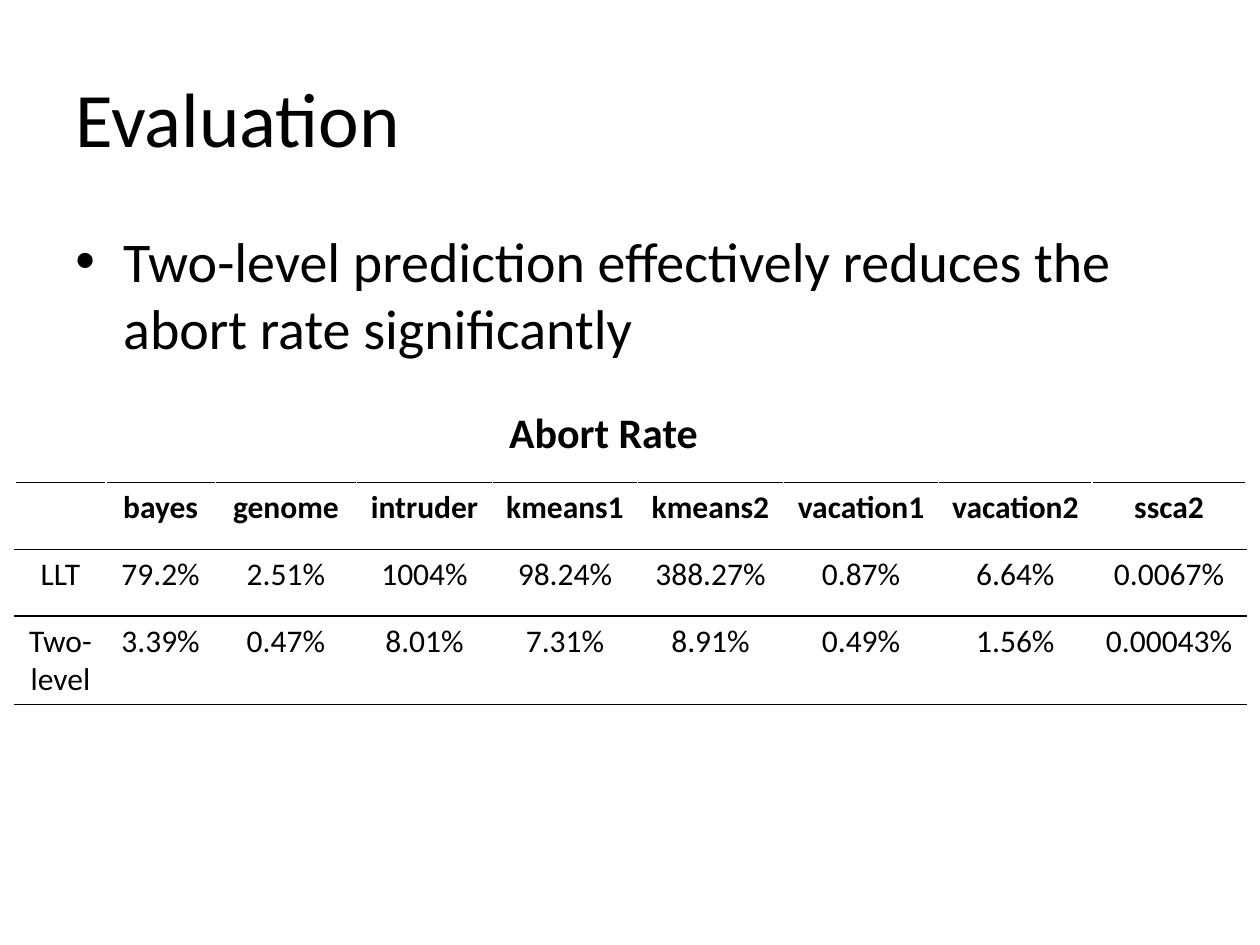
from pptx import Presentation
from pptx.dml.color import RGBColor
from pptx.enum.text import MSO_ANCHOR as ANCHOR, PP_ALIGN as ALIGN
from pptx.oxml import parse_xml
from pptx.oxml.ns import nsdecls
from pptx.util import Inches, Pt

HEADERS = ["", "bayes", "genome", "intruder", "kmeans1", "kmeans2", "vacation1", "vacation2", "ssca2"]
RATES = [
    ["LLT", "79.2%", "2.51%", "1004%", "98.24%", "388.27%", "0.87%", "6.64%", "0.0067%"],
    ["Two-level", "3.39%", "0.47%", "8.01%", "7.31%", "8.91%", "0.49%", "1.56%", "0.00043%"],
]
COL_WIDTHS = [0.72, 0.87, 1.12, 1.08, 1.15, 1.16, 1.23, 1.22, 1.22]
ROW_HEIGHT = 0.53


def rgb(value):
    return RGBColor.from_string(value)


def write(tf, text, size=18, bold=False, align=ALIGN.LEFT, color="000000", font="Calibri"):
    p = tf.paragraphs[0]
    p.alignment = align
    if text:
        r = p.add_run()
        r.text = text
        r.font.size, r.font.bold, r.font.name = Pt(size), bold, font
        r.font.color.rgb = rgb(color)
    return p


class SlideBuilder:
    """Holds the slide and its table colours, and adds each kind of element."""

    def __init__(self, slide, paper="FFFFFF", rule="000000"):
        self.slide, self.paper, self.rule = slide, paper, rule

    def text(self, text, x, y, w, h, anchor=ANCHOR.TOP, wrap=True, **fmt):
        tf = self.slide.shapes.add_textbox(Inches(x), Inches(y), Inches(w), Inches(h)).text_frame
        tf.word_wrap, tf.vertical_anchor = wrap, anchor
        return write(tf, text, **fmt)

    def bullet(self, text, x, y, w, h, indent=0.38, **fmt):
        p = self.text(text, x, y, w, h, **fmt)
        p.space_before = Pt(2)
        pPr = p._p.get_or_add_pPr()
        pPr.set("marL", str(Inches(indent)))
        pPr.set("indent", str(-Inches(indent)))
        pPr.append(parse_xml(f'<a:buFont {nsdecls("a")} typeface="Arial"/>'))
        pPr.append(parse_xml(f'<a:buChar {nsdecls("a")} char="•"/>'))

    def border(self, cell):
        sides = {"lnL": self.paper, "lnR": self.paper, "lnT": self.rule, "lnB": self.rule}
        tcPr = cell._tc.get_or_add_tcPr()
        for i, (side, color) in enumerate(sides.items()):
            tcPr.insert(i, parse_xml(
                f'<a:{side} {nsdecls("a")} w="{Pt(1)}"><a:solidFill>'
                f'<a:srgbClr val="{color}"/></a:solidFill></a:{side}>'))

    def table(self, rows, x, y, widths, row_height):
        table = self.slide.shapes.add_table(
            len(rows), len(widths), Inches(x), Inches(y),
            Inches(sum(widths)), Inches(row_height * len(rows))).table
        table.horz_banding = table.first_row = False
        for column, width in zip(table.columns, widths):
            column.width = Inches(width)
        for i, row in enumerate(rows):
            table.rows[i].height = Inches(row_height)
            for j, text in enumerate(row):
                cell = table.cell(i, j)
                cell.fill.solid()
                cell.fill.fore_color.rgb = rgb(self.paper)
                self.border(cell)
                write(cell.text_frame, text, bold=i == 0, align=ALIGN.CENTER)


def main():
    prs = Presentation()
    prs.slide_width, prs.slide_height = Inches(10), Inches(7.5)
    s = SlideBuilder(prs.slides.add_slide(prs.slide_layouts[6]))
    s.text("Evaluation", 0.5, 0.3, 9, 1.25, anchor=ANCHOR.MIDDLE, size=44)
    s.table([HEADERS, *RATES], 0.12, 3.83, COL_WIDTHS, ROW_HEIGHT)
    s.text("Abort Rate", 3.93, 3.18, 1.72, 0.5, wrap=False, size=24, bold=True, align=ALIGN.CENTER)
    s.bullet("Two-level prediction effectively reduces the abort rate significantly",
             0.5, 1.75, 9, 1.28, size=32)
    prs.save("out.pptx")


if __name__ == "__main__":
    main()
